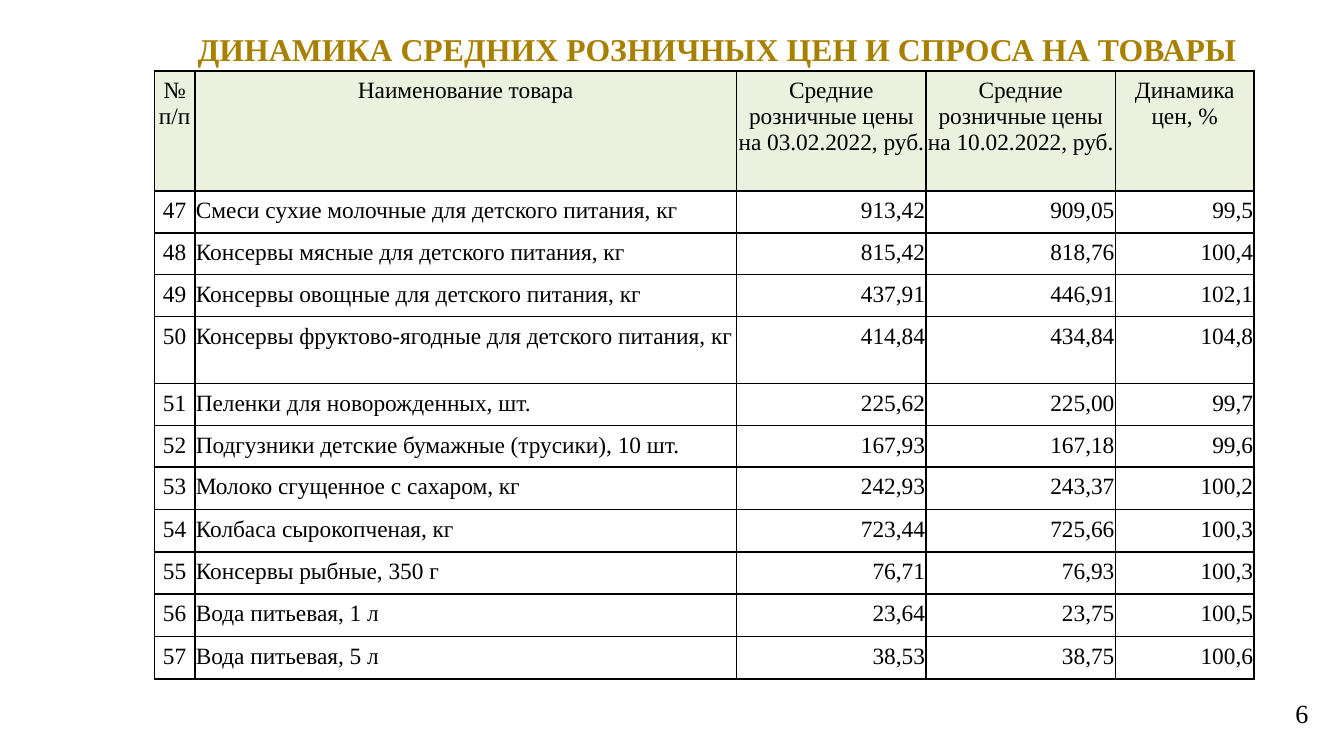
"""Build a slide with a table of average retail prices and their dynamics."""
import lxml.etree
import pptx
import pptx.dml.color
import pptx.enum.text
import pptx.oxml.ns
import pptx.util

Cm = pptx.util.Cm
Pt = pptx.util.Pt
ALIGN = pptx.enum.text.PP_ALIGN
COLOURS = {"title": "A88000", "text": "000000", "header": "EBF1DE", "row": "FFFFFF"}
HEADINGS = [
    "№ п/п",
    "Наименование товара",
    "Средние розничные цены на 03.02.2022, руб.",
    "Средние розничные цены на 10.02.2022, руб.",
    "Динамика цен, %",
]
GOODS = [
    ("Смеси сухие молочные для детского питания, кг", "913,42", "909,05", "99,5"),
    ("Консервы мясные для детского питания, кг", "815,42", "818,76", "100,4"),
    ("Консервы овощные для детского питания, кг", "437,91", "446,91", "102,1"),
    ("Консервы фруктово-ягодные для детского питания, кг", "414,84", "434,84", "104,8"),
    ("Пеленки для новорожденных, шт.", "225,62", "225,00", "99,7"),
    ("Подгузники детские бумажные (трусики), 10 шт.", "167,93", "167,18", "99,6"),
    ("Молоко сгущенное с сахаром, кг", "242,93", "243,37", "100,2"),
    ("Колбаса сырокопченая, кг", "723,44", "725,66", "100,3"),
    ("Консервы рыбные, 350 г", "76,71", "76,93", "100,3"),
    ("Вода питьевая, 1 л", "23,64", "23,75", "100,5"),
    ("Вода питьевая, 5 л", "38,53", "38,75", "100,6"),
]
FIRST_NUMBER = 47
COLUMN_WIDTHS = [0.76, 10.24, 3.58, 3.58, 2.62]
ROW_HEIGHTS = [2.27] + [0.76] * 3 + [1.27] + [0.76] * 2 + [0.8] * 5
COLUMN_ALIGNS = [ALIGN.CENTER, ALIGN.LEFT, ALIGN.RIGHT, ALIGN.RIGHT, ALIGN.RIGHT]


def write(text_frame, text, size, colour, align, bold=False):
    text_frame.text = text
    text_frame.word_wrap = True
    para = text_frame.paragraphs[0]
    para.alignment = align
    font = para.runs[0].font
    font.name = "Times New Roman"
    font.size = Pt(size)
    font.bold = bold
    font.color.rgb = pptx.dml.color.RGBColor.from_string(COLOURS[colour])


def add_borders(cell):
    properties = cell._tc.get_or_add_tcPr()
    for side in ("lnL", "lnR", "lnT", "lnB"):
        line = lxml.etree.SubElement(properties, pptx.oxml.ns.qn(f"a:{side}"), w=str(Pt(0.96)))
        fill = lxml.etree.SubElement(line, pptx.oxml.ns.qn("a:solidFill"))
        lxml.etree.SubElement(fill, pptx.oxml.ns.qn("a:srgbClr"), val=COLOURS["text"])


deck = pptx.Presentation()
deck.slide_width = Cm(25.4)
deck.slide_height = Cm(14.29)
page = deck.slides.add_slide(deck.slide_layouts[6])

title_box = page.shapes.add_textbox(Cm(2.84), Cm(0.41), Cm(21.89), Cm(1.04))
title = "ДИНАМИКА СРЕДНИХ РОЗНИЧНЫХ ЦЕН И СПРОСА НА ТОВАРЫ"
write(title_box.text_frame, title, 17, "title", ALIGN.CENTER, bold=True)
title_box.text_frame.vertical_anchor = pptx.enum.text.MSO_ANCHOR.MIDDLE
title_box.text_frame.margin_right = Cm(0.71)

number_box = page.shapes.add_textbox(Cm(24.23), Cm(13.06), Cm(0.64), Cm(1.17))
write(number_box.text_frame, "6", 14, "text", ALIGN.RIGHT)

rows = [HEADINGS] + [(str(number), *goods) for number, goods in enumerate(GOODS, FIRST_NUMBER)]
frame = page.shapes.add_table(
    len(rows), len(HEADINGS), Cm(2.92), Cm(1.34), Cm(sum(COLUMN_WIDTHS)), Cm(sum(ROW_HEIGHTS))
)
table = frame.table
table.first_row = False
table.horz_banding = False
for column, width in zip(table.columns, COLUMN_WIDTHS):
    column.width = Cm(width)
for row, height in zip(table.rows, ROW_HEIGHTS):
    row.height = Cm(height)

for row_index, values in enumerate(rows):
    is_header = row_index == 0
    for column_index, value in enumerate(values):
        cell = table.cell(row_index, column_index)
        align = ALIGN.CENTER if is_header else COLUMN_ALIGNS[column_index]
        write(cell.text_frame, value, 12.5, "text", align)
        cell.margin_left = cell.margin_right = Cm(0.02)
        cell.margin_top = cell.margin_bottom = Cm(0.13)
        add_borders(cell)
        cell.fill.solid()
        fill_name = "header" if is_header else "row"
        cell.fill.fore_color.rgb = pptx.dml.color.RGBColor.from_string(COLOURS[fill_name])

deck.save("out.pptx")
